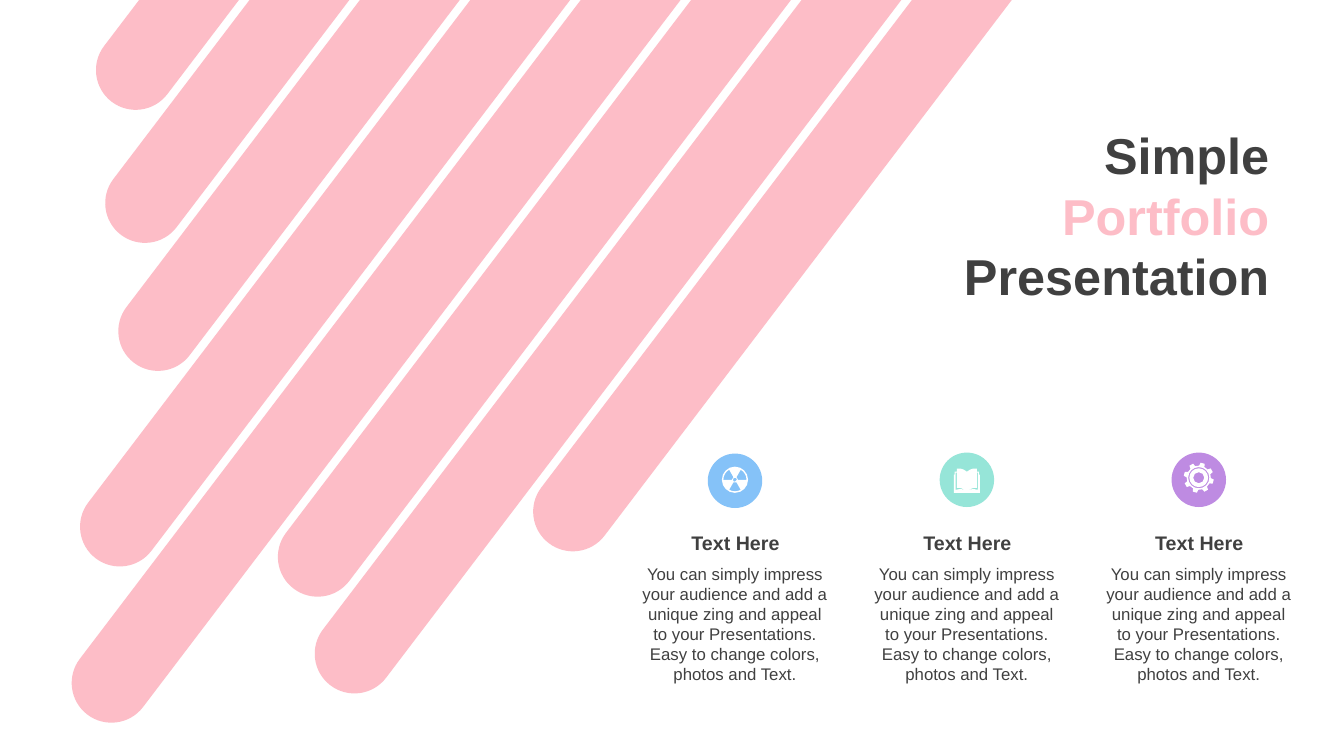
import math
from dataclasses import dataclass

import lxml.etree
import pptx
import pptx.dml.color
import pptx.enum.shapes
import pptx.enum.text
import pptx.oxml.ns
import pptx.util

Inches = pptx.util.Inches
ALIGN = pptx.enum.text.PP_ALIGN
ANCHOR = pptx.enum.text.MSO_ANCHOR
qn = pptx.oxml.ns.qn


@dataclass(frozen=True)
class Theme:
    font: str = "Arial"
    pink: str = "FDBDC7"
    blue: str = "85C2F8"
    mint: str = "96E5D8"
    purple: str = "BE8BE2"
    white: str = "FFFFFF"
    dark: str = "404040"
    title_size: int = 36
    heading_size: int = 14
    body_size: int = 12


THEME = Theme()
BODY = (
    "You can simply impress your audience and add a unique zing and appeal "
    "to your Presentations. Easy to change colors, photos and Text."
)
STRIPE_BOTTOMS = [1.09, 2.41, 3.68, 5.62, 7.17, 5.92, 6.88, 5.47]
STRIPE_LEFT, STRIPE_STEP, STRIPE_WIDTH, STRIPE_SLANT = 1.38, 1.095, 0.99, 0.76


def color(value):
    return pptx.dml.color.RGBColor.from_string(value)


def paint(shape, fill):
    shape.fill.solid()
    shape.fill.fore_color.rgb = color(fill)
    shape.line.fill.background()
    shape.shadow.inherit = False


def lines(points):
    return [[point] for point in points]


def arc(x, y, radius, start, end):
    pieces = math.ceil(abs(end - start) / 90)
    turn = math.radians(end - start) / pieces
    pull = 4 / 3 * math.tan(turn / 4)

    def place(angle, tangent=0):
        return (
            x + radius * (math.cos(angle) - tangent * math.sin(angle)),
            y + radius * (math.sin(angle) + tangent * math.cos(angle)),
        )

    angles = [math.radians(start) + turn * i for i in range(pieces + 1)]
    curves = [[place(a, pull), place(a + turn, -pull), place(a + turn)] for a in angles[:-1]]
    return [[place(angles[0])]] + curves


def circle(x, y, radius):
    return arc(x, y, radius, 0, 360)


def bend_curves(shape, contours):
    outline = next(shape._element.iter(qn("a:path")))
    segments = iter(outline.findall(qn("a:lnTo")))
    for contour in contours:
        for step in contour[1:]:
            parts = [next(segments) for _ in step]
            if len(parts) == 3:
                curve = lxml.etree.Element(qn("a:cubicBezTo"))
                parts[0].addprevious(curve)
                for part in parts:
                    curve.append(part[0])
                    outline.remove(part)


def add_outline(slide, contours, fill):
    paths = [[(Inches(x), Inches(y)) for step in contour for x, y in step] for contour in contours]
    builder = slide.shapes.build_freeform(*paths[0][0])
    for index, points in enumerate(paths):
        if index:
            builder.move_to(*points[0])
        builder.add_line_segments(points[1:], close=True)
    shape = builder.convert_to_shape()
    bend_curves(shape, contours)
    paint(shape, fill)


def stripe(index, bottom):
    left = STRIPE_LEFT + STRIPE_STEP * index
    angle = math.degrees(math.atan2(1, -STRIPE_SLANT))
    radius = STRIPE_WIDTH / 2 * math.sin(math.radians(angle))
    y = bottom - radius
    x = left + STRIPE_WIDTH / 2 - STRIPE_SLANT * y
    top = lines([(left, 0), (left + STRIPE_WIDTH, 0)])
    return top + arc(x, y, radius, angle - 90, angle + 90)


def radiation(x, y):
    blades = [
        arc(x, y, 0.03, start, start + 60) + arc(x, y, 0.115, start + 60, start)
        for start in (60, 180, 300)
    ]
    return [circle(x, y, 0.13), circle(x, y, 0.02)] + blades


def book(x, y):
    cover = [(0, -0.09), (0.03, -0.11), (0.06, -0.12), (0.1, -0.12), (0.1, -0.09),
             (0.12, -0.09), (0.12, -0.06), (0.13, -0.06), (0.13, 0.12)]
    gap = [(0.01, 0.1), (0.06, 0.08), (0.11, 0.09), (0.11, -0.08),
           (0.1, -0.08), (0.1, 0.07), (0.06, 0.07)]

    def place(points, side=1):
        return lines([(x + side * dx, y + dy) for dx, dy in points])

    return [place(cover) + place(cover[:0:-1], -1), place(gap), place(gap, -1)]


def gear(x, y):
    corners = [(0.12, -13), (0.15, -8), (0.15, 8), (0.12, 13)]
    rim = []
    for tooth in range(8):
        for radius, offset in corners:
            angle = math.radians(45 * tooth - 75 + offset)
            rim.append((x + radius * math.cos(angle), y + radius * math.sin(angle)))
    return [lines(rim)] + [circle(x, y, radius) for radius in (0.105, 0.093, 0.055)]


def format_frame(shape, anchor):
    values = {
        "word_wrap": True,
        "auto_size": pptx.enum.text.MSO_AUTO_SIZE.NONE,
        "vertical_anchor": anchor,
    }
    for name, value in values.items():
        setattr(shape.text_frame, name, value)


def write(shape, runs, size, bold, alignment):
    paragraph = shape.text_frame.paragraphs[0]
    paragraph.alignment = alignment
    for text, run_color in runs:
        run = paragraph.add_run()
        run.text = text
        for name, value in {"name": THEME.font, "size": pptx.util.Pt(size), "bold": bold}.items():
            setattr(run.font, name, value)
        run.font.color.rgb = color(run_color)


def add_text(slide, box, text, size, bold, anchor):
    shape = slide.shapes.add_textbox(*map(Inches, box))
    format_frame(shape, anchor)
    write(shape, [(text, THEME.dark)], size, bold, ALIGN.CENTER)


def set_title(slide):
    title = slide.shapes.title
    box = {"left": 9.46, "top": 1.05, "width": 3.23, "height": 2.17}
    for name, value in box.items():
        setattr(title, name, Inches(value))
    format_frame(title, ANCHOR.MIDDLE)
    runs = [("Simple ", THEME.dark), ("Portfolio ", THEME.pink), ("Presentation", THEME.dark)]
    write(title, runs, THEME.title_size, True, ALIGN.RIGHT)


def add_feature(slide, left, disc_top, fill, icon):
    disc = slide.shapes.add_shape(
        pptx.enum.shapes.MSO_SHAPE.OVAL,
        *map(Inches, (left + 0.76, disc_top, 0.54, 0.54)),
    )
    paint(disc, fill)
    add_outline(slide, icon, THEME.white)
    add_text(slide, (left, 5.21, 2.07, 0.34), "Text Here", THEME.heading_size, True, ANCHOR.MIDDLE)
    add_text(slide, (left, 5.54, 2.06, 1.31), BODY, THEME.body_size, False, ANCHOR.TOP)


def main():
    presentation = pptx.Presentation()
    presentation.slide_width = Inches(13.33)
    presentation.slide_height = Inches(7.5)
    slide = presentation.slides.add_slide(presentation.slide_layouts[5])
    stripes = [stripe(index, bottom) for index, bottom in enumerate(STRIPE_BOTTOMS)]
    add_outline(slide, stripes, THEME.pink)
    set_title(slide)
    features = [
        (THEME.blue, 4.5, radiation, 4.76),
        (THEME.mint, 4.49, book, 4.77),
        (THEME.purple, 4.49, gear, 4.74),
    ]
    for index, (fill, disc_top, draw_icon, icon_y) in enumerate(features):
        left = 6.26 + 2.3 * index
        add_feature(slide, left, disc_top, fill, draw_icon(left + 1.03, icon_y))
    presentation.save("out.pptx")


if __name__ == "__main__":
    main()
